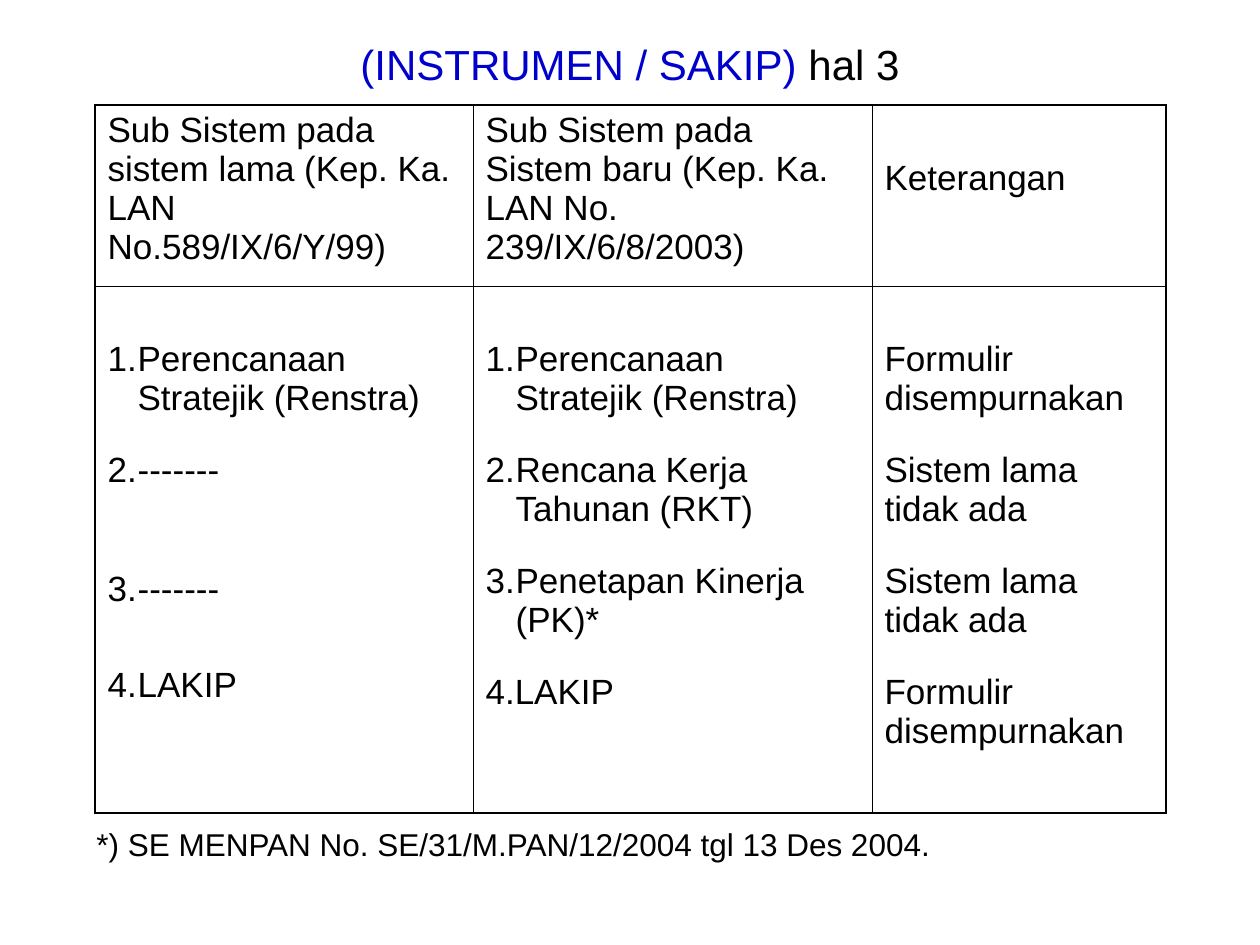
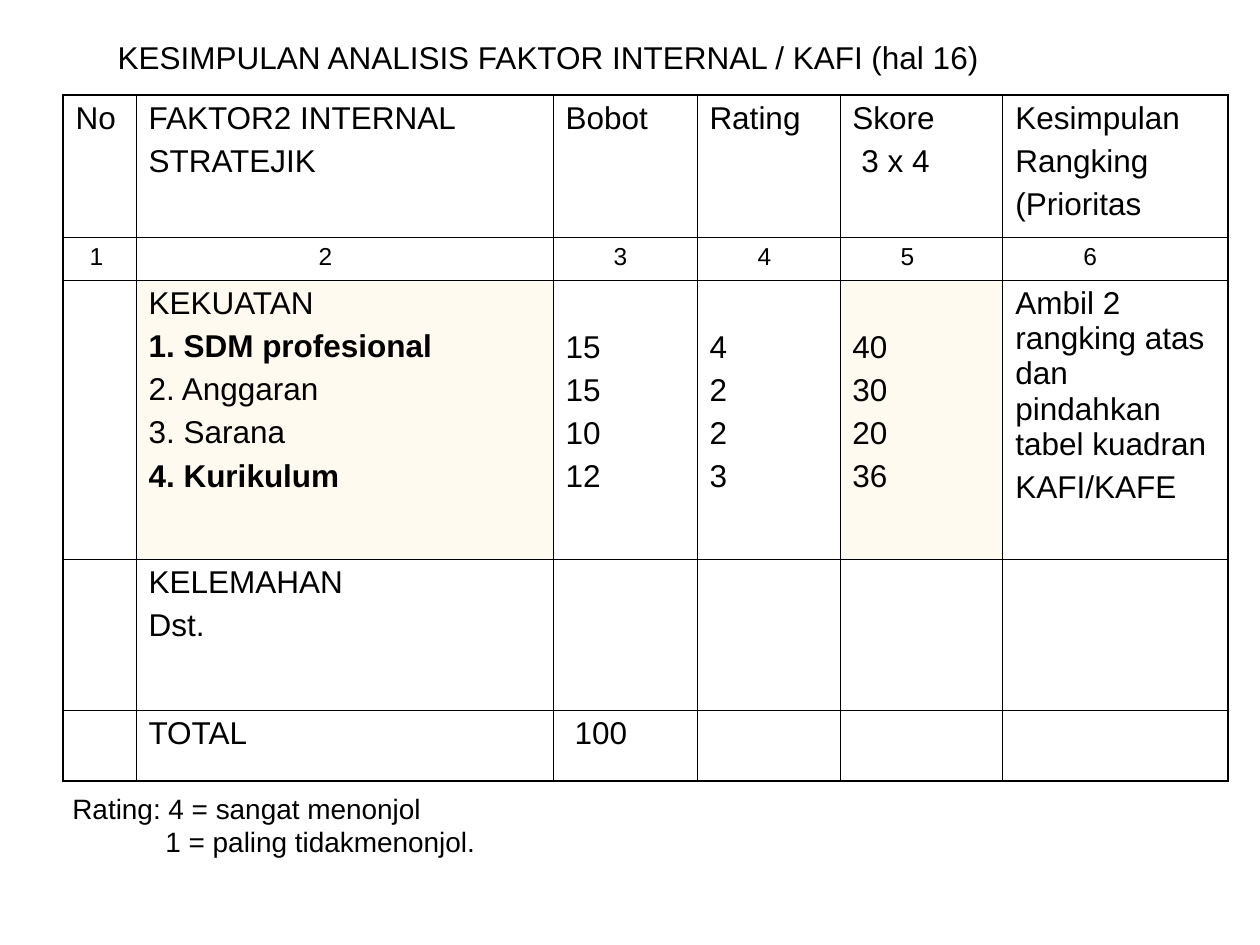
from dataclasses import dataclass

from lxml.etree import SubElement
from pptx import Presentation
from pptx.dml.color import RGBColor
from pptx.enum.text import MSO_ANCHOR as Anchor, MSO_AUTO_SIZE as AutoSize, PP_ALIGN as Align
from pptx.oxml.ns import qn
from pptx.util import Inches, Pt

BLACK = RGBColor(0x00, 0x00, 0x00)
BLUE = RGBColor(0x00, 0x00, 0xCC)
CREAM = RGBColor(0xFF, 0xFA, 0xEF)
FONT = "Arial"
PX_PER_INCH = 126
TITLE_ONLY = 5
OUTER, INNER = 1.08, 0.45
HANGING = 30
ITEM_GAP = 18.7


@dataclass
class Line:
    """One paragraph with its own formatting."""
    text: str
    before: float = 0
    indent: int = 0
    bold: bool = False
    numbered: bool = False


@dataclass
class Cell:
    """One table cell: its lines, text size, top margin and fill."""
    lines: list
    size: int = 18
    top: int = 6
    fill: RGBColor = None


def px(length):
    """Turn pixels into EMU."""
    return round(length * Inches(1) / PX_PER_INCH)


def style(para, size, bold=False, color=BLACK):
    """Set the font of a whole paragraph."""
    para.font.name = FONT
    para.font.size = Pt(size)
    para.font.bold = bold
    if color is not None:
        para.font.color.rgb = color


def write_lines(frame, lines, size):
    """Fill a text frame with formatted paragraphs."""
    for number, line in enumerate(lines):
        para = frame.add_paragraph() if number else frame.paragraphs[0]
        para.text = line.text
        para.space_before = Pt(line.before)
        props = para._p.get_or_add_pPr()
        if line.numbered:
            props.set("marL", str(px(HANGING)))
            props.set("indent", str(-px(HANGING)))
            SubElement(props, qn("a:buFont"), typeface="+mj-lt")
            SubElement(props, qn("a:buAutoNum"), type="arabicPeriod")
        elif line.indent:
            props.set("marL", str(px(line.indent)))
            props.set("indent", "0")
        style(para, size, line.bold)


def add_title(page, spans, box, size, align):
    """Place the title placeholder and write its coloured spans."""
    title = page.shapes.title
    title.left, title.top, title.width, title.height = map(px, box)
    frame = title.text_frame
    frame.word_wrap = True
    frame.auto_size = AutoSize.NONE
    frame.vertical_anchor = Anchor.TOP
    para = frame.paragraphs[0]
    para.alignment = align
    style(para, size, color=None)
    for text, color in spans:
        span = para.add_run()
        span.text = text
        span.font.color.rgb = color


def add_note(page, lines, box, size):
    """Add a wrapped text box below a table."""
    frame = page.shapes.add_textbox(*map(px, box)).text_frame
    frame.word_wrap = True
    write_lines(frame, lines, size)


def draw_borders(cell, widths):
    """Draw the left, right, top and bottom borders of a cell."""
    props = cell._tc.get_or_add_tcPr()
    for side, width in zip("LRTB", widths):
        line = SubElement(props, qn(f"a:ln{side}"), w=str(Pt(width)))
        fill = SubElement(line, qn("a:solidFill"))
        SubElement(fill, qn("a:srgbClr"), val=str(BLACK))


def add_grid(page, left, top, widths, heights, rows):
    """Add a ruled table whose outer frame is heavier."""
    box = map(px, (left, top, sum(widths), sum(heights)))
    table = page.shapes.add_table(len(heights), len(widths), *box).table
    table.first_row = table.horz_banding = False
    for column, width in zip(table.columns, widths):
        column.width = px(width)
    for row, height in zip(table.rows, heights):
        row.height = px(height)
    last_row, last_col = len(heights) - 1, len(widths) - 1
    for r, row in enumerate(rows):
        for c, content in enumerate(row):
            cell = table.cell(r, c)
            edges = (c == 0, c == last_col, r == 0, r == last_row)
            draw_borders(cell, [OUTER if edge else INNER for edge in edges])
            if content.fill is None:
                cell.fill.background()
            else:
                cell.fill.solid()
                cell.fill.fore_color.rgb = content.fill
            cell.margin_top = px(content.top)
            write_lines(cell.text_frame, content.lines, content.size)


def stack(*texts, bold=(), **options):
    """Make a cell of evenly spaced lines, some of them bold."""
    lines = [Line(text, before=4.5 if i else 0, bold=text in bold)
             for i, text in enumerate(texts)]
    return Cell(lines, **options)


def items(texts, gaps, numbered):
    """Make a body cell of the instrument table."""
    lines = [Line(text, before=gap, numbered=numbered and not text[0].isdigit())
             for text, gap in zip(texts, gaps)]
    return Cell(lines, size=20, top=54)


def build_instruments(page):
    """Compare the old and new subsystems."""
    add_title(page, [("(INSTRUMEN / SAKIP)", BLUE), (" hal 3", BLACK)],
              (42, 32, 1176, 63), 24, Align.CENTER)
    header = [
        Cell([Line("Sub Sistem pada sistem lama (Kep. Ka. LAN No.589/IX/6/Y/99)")], size=20),
        Cell([Line("Sub Sistem pada Sistem baru (Kep. Ka. LAN No. 239/IX/6/8/2003)")], size=20),
        Cell([Line("Keterangan")], size=20, top=54),
    ]
    even = [0] + [ITEM_GAP] * 3
    plan = "Perencanaan Stratejik (Renstra)"
    improved, missing = "Formulir disempurnakan", "Sistem lama tidak ada"
    body = [
        items([plan, "-------", "-------", "LAKIP"], [0, ITEM_GAP, 45.7, 32.5], True),
        items([plan, "Rencana Kerja Tahunan (RKT)", "Penetapan Kinerja (PK)*", "4.LAKIP"],
              even, True),
        items([improved, missing, missing, improved], even, False),
    ]
    add_grid(page, 95, 105, [378, 399, 294], [181, 527], [header, body])
    add_note(page, [Line("*) SE MENPAN No. SE/31/M.PAN/12/2004 tgl 13 Des 2004.")],
             (84, 819, 890, 50), 18)


def build_internal_factors(page):
    """Score the internal strategic factors."""
    add_title(page, [("KESIMPULAN ANALISIS FAKTOR INTERNAL / KAFI (hal 16)", BLACK)],
              (105, 32, 900, 50), 18, Align.LEFT)
    header = [stack("No"), stack("FAKTOR2 INTERNAL", "STRATEJIK"), stack("Bobot"),
              stack("Rating"), Cell([Line("Skore"), Line("3 x 4", before=4.5, indent=9)]),
              stack("Kesimpulan", "Rangking", "(Prioritas")]
    numbers = [Cell([Line(str(number), indent=indent)], size=14)
               for number, indent in enumerate([14, 170, 48, 48, 48, 68], 1)]
    strengths = [
        stack(""),
        stack("KEKUATAN", "1. SDM profesional", "2. Anggaran", "3. Sarana", "4. Kurikulum",
              bold=("1. SDM profesional", "4. Kurikulum"), fill=CREAM),
        stack("15", "15", "10", "12", top=50),
        stack("4", "2", "2", "3", top=50),
        stack("40", "30", "20", "36", top=50, fill=CREAM),
        stack("Ambil 2 rangking atas dan pindahkan tabel kuadran", "KAFI/KAFE"),
    ]
    weaknesses = [stack(""), stack("KELEMAHAN", "Dst.")] + [stack("")] * 4
    total = [stack(""), stack("TOTAL"), Cell([Line("100", indent=9)])] + [stack("")] * 3
    add_grid(page, 63, 95, [73, 417, 144, 143, 163, 225], [142, 43, 279, 151, 71],
             [header, numbers, strengths, weaknesses, total])
    add_note(page, [Line("Rating: 4 = sangat menonjol"),
                    Line("1 = paling tidakmenonjol.", indent=93)],
             (60, 785, 1147, 113), 16)


def main():
    """Build the deck and save it."""
    deck = Presentation()
    deck.slide_width, deck.slide_height = px(1260), px(945)
    for build in (build_instruments, build_internal_factors):
        build(deck.slides.add_slide(deck.slide_layouts[TITLE_ONLY]))
    deck.save("out.pptx")


if __name__ == "__main__":
    main()
